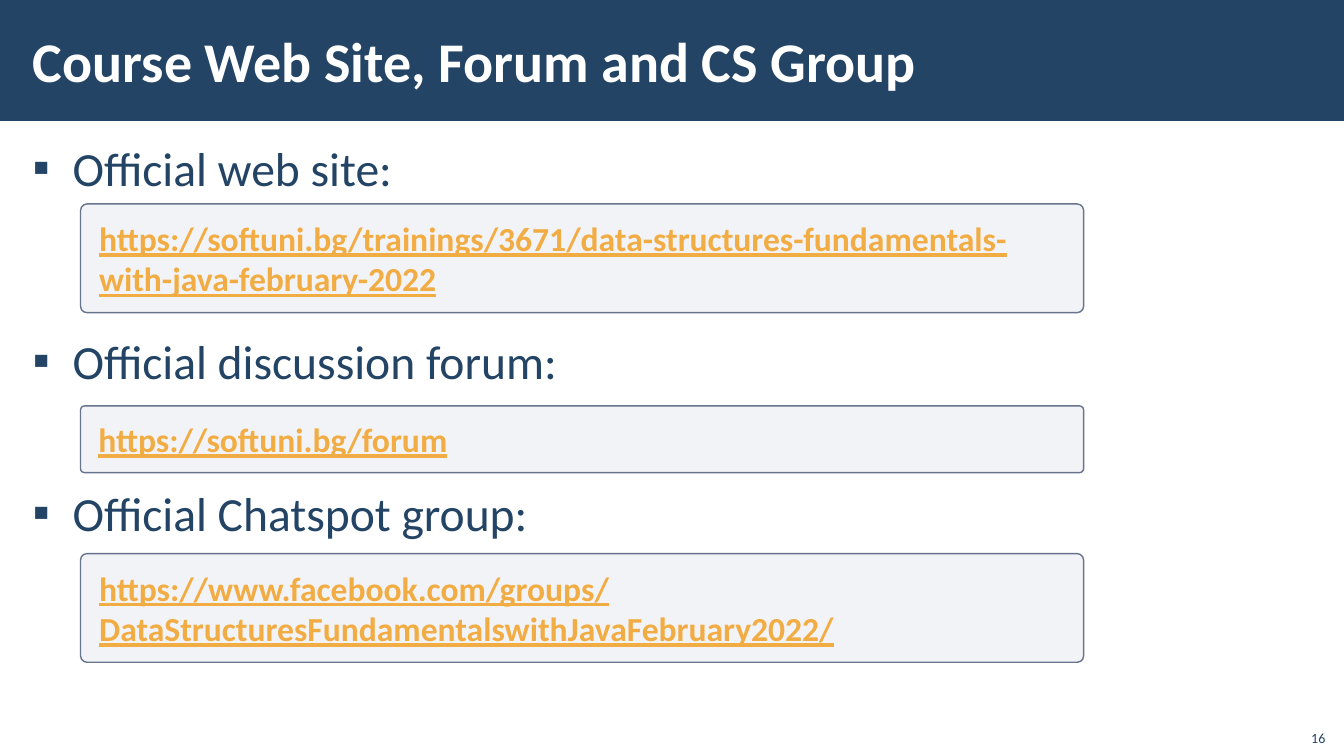
from lxml.etree import SubElement
from pptx import Presentation
from pptx.dml.color import RGBColor
from pptx.enum.shapes import MSO_SHAPE
from pptx.enum.text import MSO_ANCHOR, PP_ALIGN
from pptx.oxml.ns import qn
from pptx.util import Cm, Pt

NAVY, WHITE, AMBER = "234465", "FFFFFF", "F2AC44"
PANEL, PANEL_LINE = "ADB4C3", "67748E"


def color(value):
    return RGBColor.from_string(value)


class SlideBuilder:
    font_name = "Calibri"

    def __init__(self, slide):
        self.slide = slide

    def format_text(self, paragraph, text, text_color, **formats):
        paragraph.text = text
        font = paragraph.font
        for name, value in {"name": self.font_name, **formats}.items():
            setattr(font, name, value)
        font.color.rgb = color(text_color)

    def set_frame(self, shape, anchor, side, edge):
        frame = shape.text_frame
        settings = {
            "word_wrap": True, "vertical_anchor": anchor,
            "margin_left": Cm(side), "margin_right": Cm(side),
            "margin_top": Cm(edge), "margin_bottom": Cm(edge),
        }
        for name, value in settings.items():
            setattr(frame, name, value)
        return frame

    def text_box(self, left, top, width, height, anchor=MSO_ANCHOR.TOP):
        shape = self.slide.shapes.add_textbox(Cm(left), Cm(top), Cm(width), Cm(height))
        return self.set_frame(shape, anchor, 0.3, 0.1)

    def panel(self, kind, left, top, width, height, fill):
        shape = self.slide.shapes.add_shape(kind, Cm(left), Cm(top), Cm(width), Cm(height))
        shape.shadow.inherit = False
        shape.fill.solid()
        shape.fill.fore_color.rgb = color(fill)
        shape.line.fill.background()
        return shape

    def bullet_list(self, items, left, top, width, height):
        frame = self.text_box(left, top, width, height)
        for index, (text, gap) in enumerate(items):
            paragraph = frame.add_paragraph() if index else frame.paragraphs[0]
            properties = paragraph._p.get_or_add_pPr()
            properties.set("marL", str(Cm(1)))
            properties.set("indent", str(Cm(-1)))
            paragraph.line_spacing = 1.05
            paragraph.space_before = Pt(gap)
            SubElement(properties, qn("a:buFont"), typeface=self.font_name)
            SubElement(properties, qn("a:buChar"), char="▪")
            self.format_text(paragraph, text, NAVY, size=Pt(34))

    def link_panel(self, address, top, height):
        shape = self.panel(MSO_SHAPE.ROUNDED_RECTANGLE, 2.03, top, 25.28, height, PANEL)
        shape.adjustments[0] = 0.06
        shape.line.color.rgb = color(PANEL_LINE)
        shape.line.width = Pt(1)
        fill_color = shape._element.spPr.find(qn("a:solidFill"))[0]
        SubElement(fill_color, qn("a:alpha"), val="15000")
        paragraph = self.set_frame(shape, MSO_ANCHOR.MIDDLE, 0.42, 0.3).paragraphs[0]
        paragraph.alignment = PP_ALIGN.LEFT
        self.format_text(paragraph, address, AMBER, size=Pt(24), bold=True, underline=True)


def main():
    presentation = Presentation()
    presentation.slide_width, presentation.slide_height = Cm(33.87), Cm(19.05)
    builder = SlideBuilder(presentation.slides.add_slide(presentation.slide_layouts[6]))

    # Title band
    builder.panel(MSO_SHAPE.RECTANGLE, 0, 0, 33.87, 3.05, NAVY)
    title = builder.text_box(0.53, 0.28, 27, 2.46, MSO_ANCHOR.MIDDLE)
    builder.format_text(title.paragraphs[0], "Course Web Site, Forum and CS Group",
                        WHITE, size=Pt(40), bold=True)

    # Headings, each with the space above it in points
    builder.bullet_list([
        ("Official web site:", 0),
        ("Official discussion forum:", 95),
        ("Official Chatspot group:", 66),
    ], 0.53, 3.33, 32.82, 15.37)

    # Link panels
    for address, top, height in [
        ("https://softuni.bg/trainings/3671/data-structures-fundamentals-with-java-february-2022",
         5.14, 2.74),
        ("https://softuni.bg/forum", 10.23, 1.68),
        ("https://www.facebook.com/groups/DataStructuresFundamentalswithJavaFebruary2022/",
         13.95, 2.74),
    ]:
        builder.link_panel(address, top, height)

    # Page number
    number = builder.text_box(32.6, 18.08, 1.1, 0.82, MSO_ANCHOR.BOTTOM).paragraphs[0]
    number.alignment = PP_ALIGN.RIGHT
    builder.format_text(number, "16", NAVY, size=Pt(10))

    presentation.save("out.pptx")


if __name__ == "__main__":
    main()
